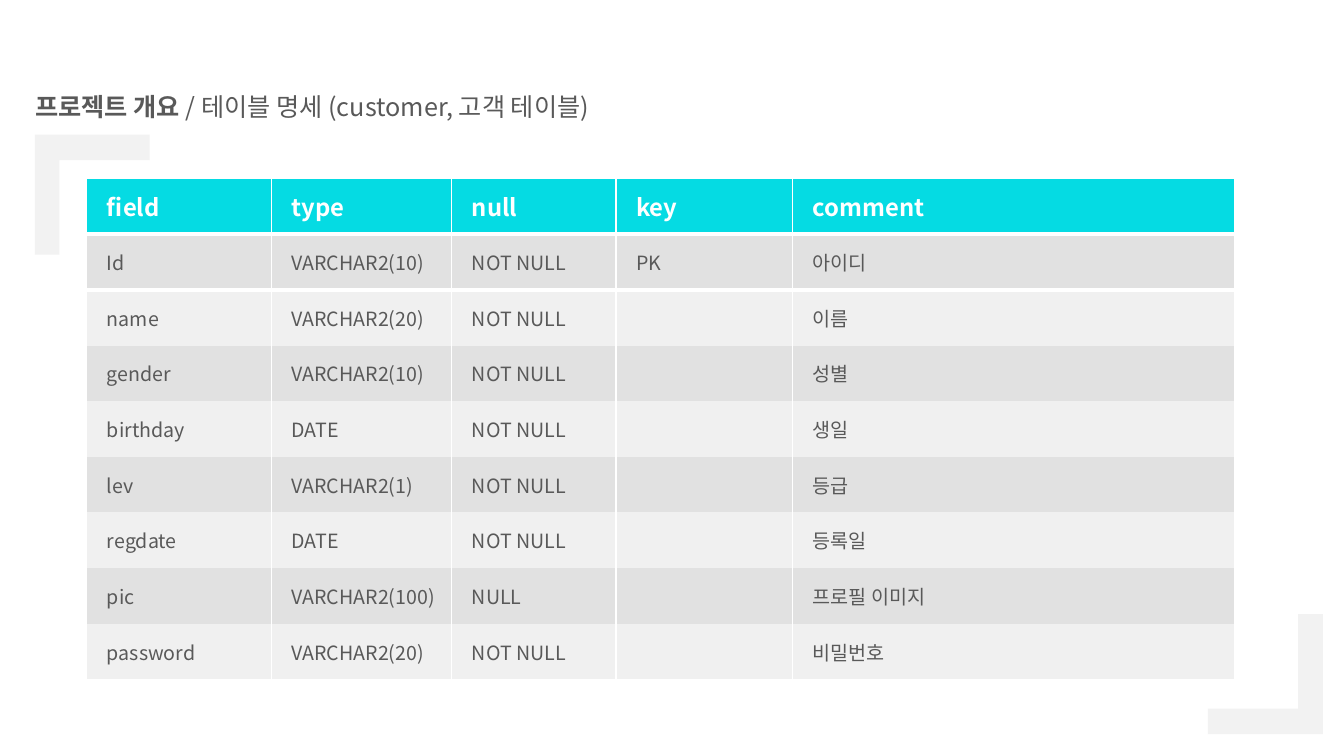
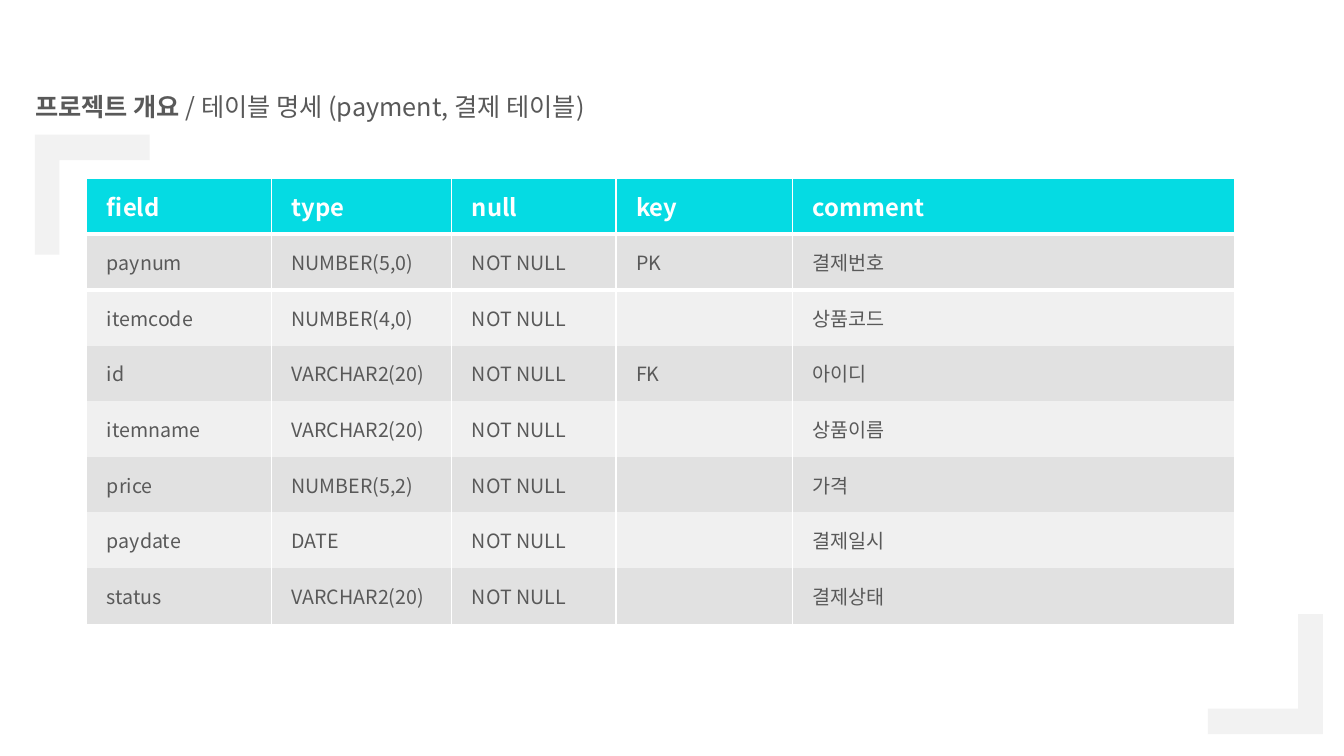
from dataclasses import dataclass

from lxml import etree
from pptx import Presentation
from pptx.dml.color import RGBColor
from pptx.enum.shapes import MSO_SHAPE
from pptx.enum.text import MSO_ANCHOR, MSO_AUTO_SIZE
from pptx.oxml.ns import qn
from pptx.util import Pt

CORNER = MSO_SHAPE.CORNER
MIDDLE = MSO_ANCHOR.MIDDLE
GROW = MSO_AUTO_SIZE.SHAPE_TO_FIT_TEXT
PLAIN = "{2D5ABB26-0587-4C30-8999-92F81FD0307C}"  # table style without grid


@dataclass(frozen=True)
class Theme:
    font: str = "Noto Sans CJK KR"
    ink: str = "595959"
    white: str = "FFFFFF"
    cyan: str = "05DBE3"
    frame: str = "F2F2F2"
    bands: tuple = ("E1E1E1", "F0F0F0")
    title: int = 18
    head: int = 17
    body: int = 14


class Deck:
    def __init__(self, theme):
        self.theme = theme
        self.prs = Presentation()
        self.prs.slide_width, self.prs.slide_height = Pt(960), Pt(540)
        self.slide = None

    # Slide with its two frame corners
    def page(self):
        self.slide = self.prs.slides.add_slide(self.prs.slide_layouts[6])
        self.corner(23, 98, 90)
        self.corner(861, 440.6, 270)

    def corner(self, x, y, turn):
        shape = self.slide.shapes.add_shape(
            CORNER, Pt(x), Pt(y), Pt(85.7), Pt(82))
        shape.rotation = turn
        shape.adjustments[0], shape.adjustments[1] = 0.215, 0.222
        shape.fill.solid()
        shape.fill.fore_color.rgb = RGBColor.from_string(self.theme.frame)
        shape.line.fill.background()
        shape.shadow.inherit = False

    # Text
    def run(self, para, text, size, color, bold=False):
        run = para.add_run()
        run.text = text
        font = run.font
        font.name, font.size, font.bold = self.theme.font, Pt(size), bold
        font.color.rgb = RGBColor.from_string(color)
        east = etree.SubElement(run._r.get_or_add_rPr(), qn("a:ea"))
        east.set("typeface", self.theme.font)

    def title(self, lead, rest):
        box = self.slide.shapes.add_textbox(
            Pt(25.2), Pt(67.7), Pt(847.4), Pt(19.4))
        frame = box.text_frame
        frame.word_wrap = True
        frame.auto_size = GROW
        frame.margin_left = frame.margin_right = Pt(0)
        frame.margin_top = frame.margin_bottom = Pt(0)
        para = frame.paragraphs[0]
        para.line_spacing = 0.9
        self.run(para, lead, self.theme.title, self.theme.ink, True)
        self.run(para, rest, self.theme.title, self.theme.ink)

    # Table
    def edge(self, cell, side, width):
        line = etree.SubElement(
            cell._tc.get_or_add_tcPr(), qn("a:ln" + side), w=str(Pt(width)))
        fill = etree.SubElement(line, qn("a:solidFill"))
        etree.SubElement(fill, qn("a:srgbClr"), val=self.theme.white)

    def cell(self, cell, text, fill, edges, size, color, bold):
        cell.vertical_anchor = MIDDLE
        cell.margin_left, cell.margin_right = Pt(14.4), Pt(7.2)
        cell.margin_top = cell.margin_bottom = Pt(3.6)
        for side, width in edges.items():
            self.edge(cell, side, width)
        cell.fill.solid()
        cell.fill.fore_color.rgb = RGBColor.from_string(fill)
        if text:
            self.run(cell.text_frame.paragraphs[0], text, size, color, bold)

    def table(self, rows, widths, high=39.75):
        theme = self.theme
        table = self.slide.shapes.add_table(
            len(rows), len(widths), Pt(62), Pt(127.6),
            Pt(sum(widths)), Pt(high * len(rows))).table
        table._tbl.tblPr.find(qn("a:tableStyleId")).text = PLAIN
        for col, width in zip(table.columns, widths):
            col.width = Pt(width)
        for i, row in enumerate(rows):
            table.rows[i].height = Pt(high)
            edges = {"L": 1, "R": 1}
            if i == 0:
                edges |= {"T": 1, "B": 3}
                look = theme.cyan, edges, theme.head, theme.white, True
            else:
                if i == 1:
                    edges["T"] = 3
                band = theme.bands[(i - 1) % 2]
                look = band, edges, theme.body, theme.ink, False
            for j, text in enumerate(row):
                self.cell(table.cell(i, j), text, *look)


HEAD = ("field", "type", "null", "key", "comment")
WIDTHS = (131.8, 128.9, 117.3, 126, 316)
NEED = "NOT NULL"

TABLES = {
    "customer, 고객 테이블": [
        ("Id", "VARCHAR2(10)", NEED, "PK", "아이디"),
        ("name", "VARCHAR2(20)", NEED, "", "이름"),
        ("gender", "VARCHAR2(10)", NEED, "", "성별"),
        ("birthday", "DATE", NEED, "", "생일"),
        ("lev", "VARCHAR2(1)", NEED, "", "등급"),
        ("regdate", "DATE", NEED, "", "등록일"),
        ("pic", "VARCHAR2(100)", "NULL", "", "프로필 이미지"),
        ("password", "VARCHAR2(20)", NEED, "", "비밀번호"),
    ],
    "payment, 결제 테이블": [
        ("paynum", "NUMBER(5,0)", NEED, "PK", "결제번호"),
        ("itemcode", "NUMBER(4,0)", NEED, "", "상품코드"),
        ("id", "VARCHAR2(20)", NEED, "FK", "아이디"),
        ("itemname", "VARCHAR2(20)", NEED, "", "상품이름"),
        ("price", "NUMBER(5,2)", NEED, "", "가격"),
        ("paydate", "DATE", NEED, "", "결제일시"),
        ("status", "VARCHAR2(20)", NEED, "", "결제상태"),
    ],
}


def main():
    deck = Deck(Theme())
    for name, rows in TABLES.items():
        deck.page()
        deck.title("프로젝트 개요 ", f"/ 테이블 명세 ({name})")
        deck.table([HEAD, *rows], WIDTHS)
    deck.prs.save("out.pptx")


if __name__ == "__main__":
    main()
